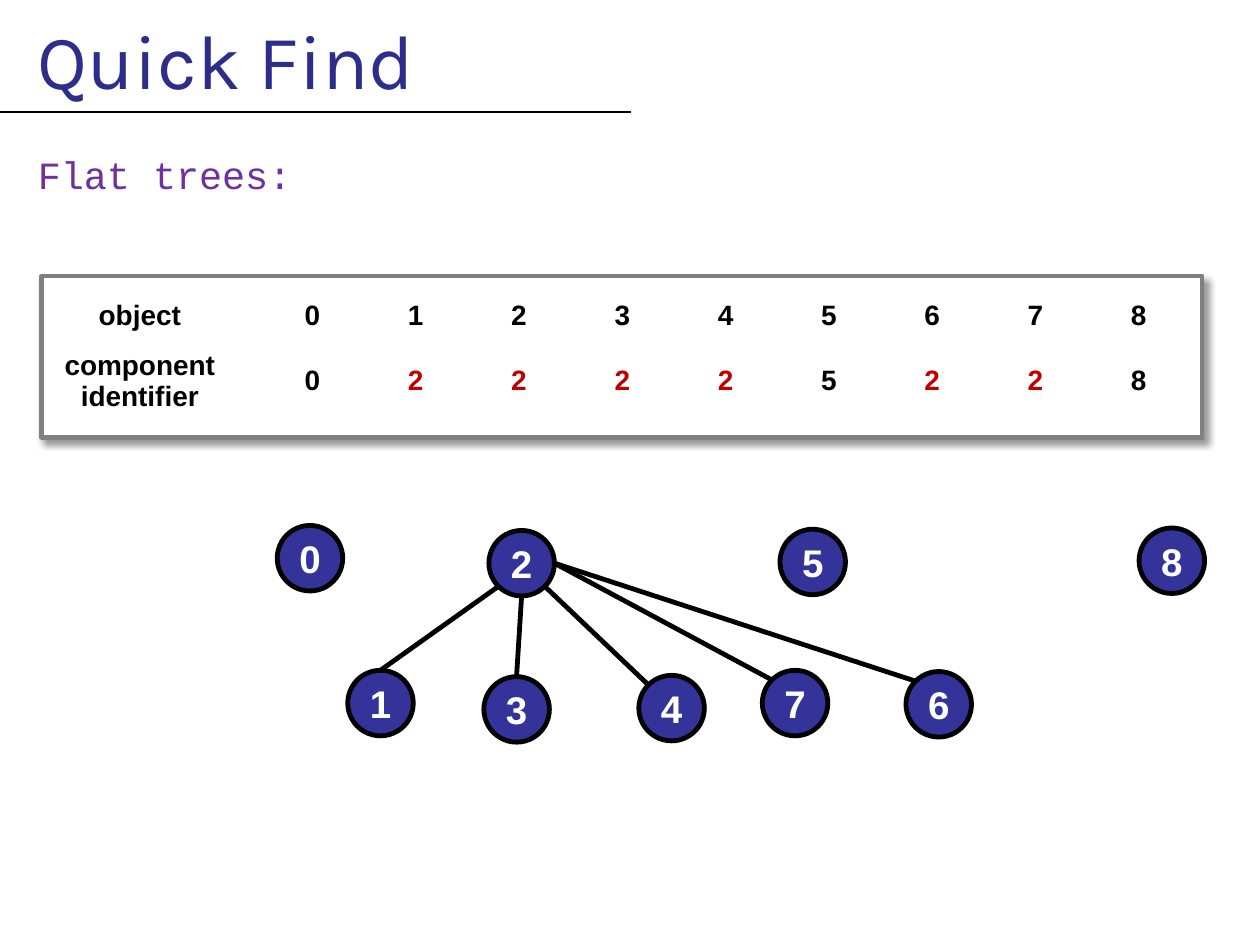
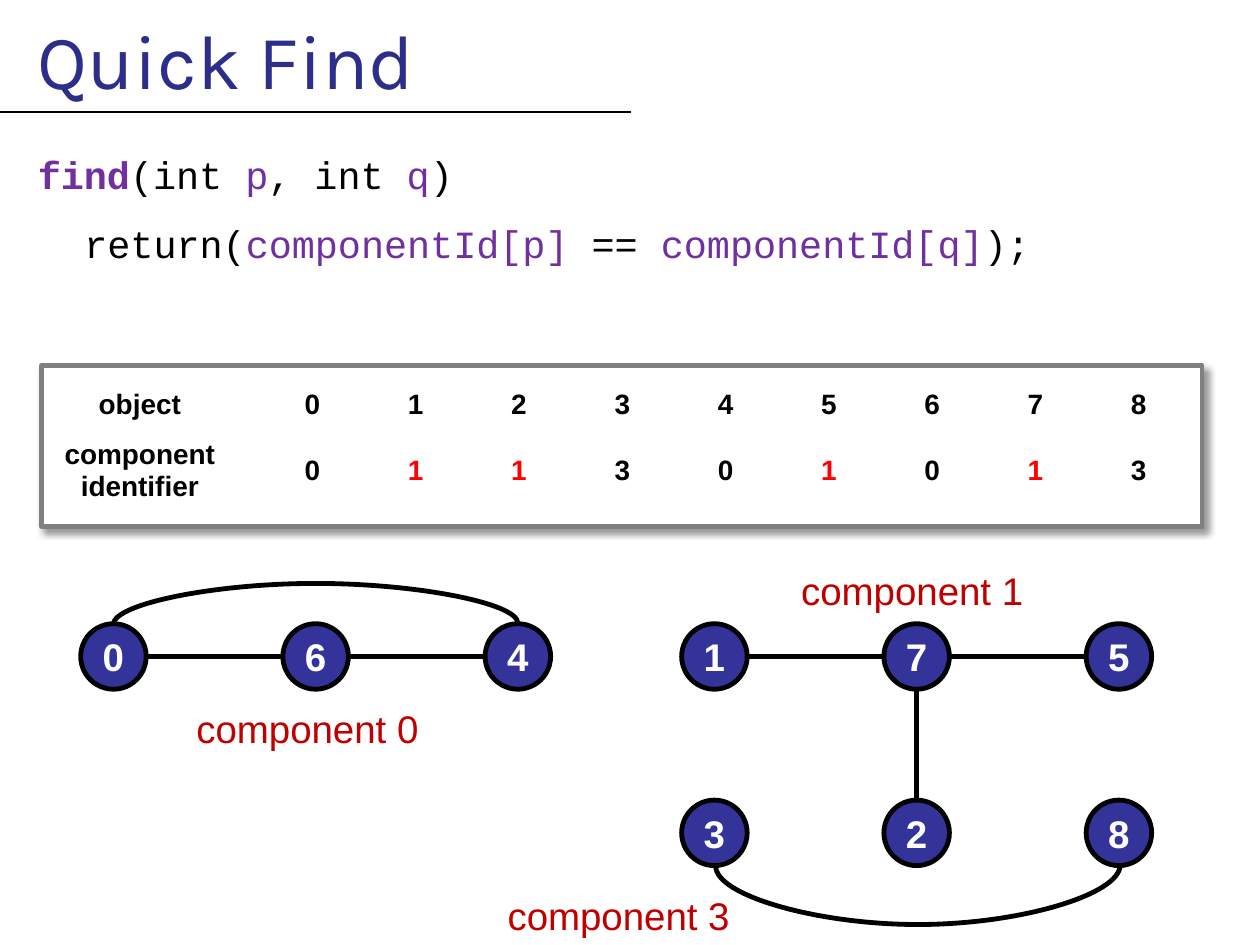
import lxml.etree
import pptx
import pptx.dml.color
import pptx.enum.shapes
import pptx.enum.text
import pptx.oxml.ns
import pptx.util

Inches = pptx.util.Inches
Pt = pptx.util.Pt
qn = pptx.oxml.ns.qn
Connector = pptx.enum.shapes.MSO_CONNECTOR
Preset = pptx.enum.shapes.MSO_SHAPE
Align = pptx.enum.text.PP_ALIGN
Anchor = pptx.enum.text.MSO_ANCHOR

BLACK, WHITE, GREY = "000000", "FFFFFF", "808080"
TITLE_BLUE, NODE_BLUE = "2D2D8A", "333399"
PURPLE, DARK_RED, BRIGHT_RED = "7030A0", "C00000", "FF0000"
SANS, MONO, TITLE_FONT = "Arial", "Courier New", "Karla"
STROKE = 2.75
NODE = 0.52
DIAGONAL = 0.5 ** 0.5
SITES = {
    "N": (0, -1), "S": (0, 1), "E": (1, 0), "W": (-1, 0),
    "NW": (-DIAGONAL, -DIAGONAL), "SW": (-DIAGONAL, DIAGONAL), "SE": (DIAGONAL, DIAGONAL),
}


def colour(hex_string):
    """Turn a hex string into an RGB colour."""
    return pptx.dml.color.RGBColor.from_string(hex_string)


def add_span(para, text, size, font, hex_string, bold=False):
    """Append one formatted run to a paragraph."""
    span = para.add_run()
    span.text = text
    span.font.size = Pt(size)
    span.font.name = font
    span.font.bold = bold
    span.font.color.rgb = colour(hex_string)


def set_margins(frame, left=0.0, top=0.0):
    """Set the left and top insets of a text frame and clear the others."""
    frame.margin_left, frame.margin_top = Inches(left), Inches(top)
    frame.margin_right = frame.margin_bottom = 0


def paint(shape, fill, line):
    """Give a shape a solid fill and outline without the default shadow."""
    shape.shadow.inherit = False
    shape.fill.solid()
    shape.fill.fore_color.rgb = colour(fill)
    shape.line.color.rgb = colour(line)
    shape.line.width = Pt(STROKE)


def add_line(page, start, end, kind=Connector.STRAIGHT, width=STROKE):
    """Draw a black connector between two points given in inches."""
    line = page.shapes.add_connector(kind, *map(Inches, start + end))
    line.line.color.rgb = colour(BLACK)
    line.line.width = Pt(width)
    lxml.etree.SubElement(line._element.spPr, qn("a:effectLst"))
    return line


def add_arc(page, left, right, y, bulge):
    """Draw a curved connector that bows down, or up if bulge is negative."""
    middle, half, thin = (left + right) / 2, (right - left) / 2, 0.01
    arc = add_line(page, (middle - thin / 2, y - half), (middle + thin / 2, y + half), Connector.CURVE)
    properties = arc._element.spPr
    properties.find(qn("a:xfrm")).set("rot", str((90 if bulge > 0 else 270) * 60000))
    guide = lxml.etree.SubElement(properties.find(qn("a:prstGeom")).find(qn("a:avLst")), qn("a:gd"))
    guide.set("name", "adj1")
    guide.set("fmla", f"val {round(abs(bulge) / thin * 100000)}")


def add_page(deck):
    """Add a page with the shared title and the rule below it."""
    page = deck.slides.add_slide(deck.slide_layouts[5])
    title = page.shapes.title
    title.left = title.top = 0
    title.width, title.height = Inches(10), Inches(1)
    frame = title.text_frame
    set_margins(frame, 0.3, 0.1)
    frame.vertical_anchor = Anchor.TOP
    para = frame.paragraphs[0]
    para.alignment = Align.LEFT
    add_span(para, "Quick Find", 44, TITLE_FONT, TITLE_BLUE)
    add_line(page, (0, 0.89), (5.01, 0.89), width=1.5)
    return page


def add_code(page, lines):
    """Write monospaced lines, each an indent in inches and a list of spans."""
    box = page.shapes.add_textbox(0, Inches(1.15), Inches(10), Inches(1.2))
    frame = box.text_frame
    frame.word_wrap = True
    set_margins(frame, 0.3, 0.05)
    for index, (indent, spans) in enumerate(lines):
        para = frame.add_paragraph() if index else frame.paragraphs[0]
        if index:
            para.space_before = Pt(13)
        para._p.get_or_add_pPr().set("marL", str(Inches(indent)))
        for text, hex_string, bold in spans:
            add_span(para, text, 22, MONO, hex_string, bold)


def add_shadow(shape):
    """Give a shape a soft shadow to the lower right."""
    effects = shape._element.spPr.find(qn("a:effectLst"))
    shadow = lxml.etree.SubElement(effects, qn("a:outerShdw"))
    for name, value in (("blurRad", Pt(4)), ("dist", Pt(3)), ("dir", 45 * 60000)):
        shadow.set(name, str(value))
    shade = lxml.etree.SubElement(shadow, qn("a:srgbClr"), val=BLACK)
    lxml.etree.SubElement(shade, qn("a:alpha"), val="40000")


def fill_cell(cell, text, hex_string):
    """Write centred bold text into a clear table cell."""
    cell.fill.background()
    cell.vertical_anchor = Anchor.MIDDLE
    cell.margin_left = cell.margin_right = Inches(0.05)
    for index, line in enumerate(text.splitlines()):
        para = cell.text_frame.paragraphs[0] if index == 0 else cell.text_frame.add_paragraph()
        para.alignment = Align.CENTER
        add_span(para, line, 16, SANS, hex_string, True)


def add_component_table(page, top, identifiers, marked, mark_colour):
    """Draw the framed table of objects and their component identifiers."""
    left = 0.33
    panel = page.shapes.add_shape(
        Preset.RECTANGLE, Inches(left), Inches(top), Inches(9.21), Inches(1.28))
    paint(panel, WHITE, GREY)
    add_shadow(panel)
    rows = [["object", "", *map(str, range(len(identifiers)))],
            ["component\nidentifier", "", *identifiers]]
    widths = [1.46, 0.23] + [0.82] * len(identifiers)
    heights = [0.41, 0.61]
    table = page.shapes.add_table(
        len(rows), len(widths), Inches(left + 0.05), Inches(top + 0.11),
        Inches(sum(widths)), Inches(sum(heights))).table
    table.first_row = table.horz_banding = False
    for column, width in zip(table.columns, widths):
        column.width = Inches(width)
    for row, height, texts in zip(table.rows, heights, rows):
        row.height = Inches(height)
        for cell, text in zip(row.cells, texts):
            is_marked = texts is rows[1] and text == marked
            fill_cell(cell, text, mark_colour if is_marked else BLACK)


def add_graph(page, nodes, edges):
    """Draw numbered nodes and the edges between their named sites."""
    for name, (left, top) in nodes.items():
        circle = page.shapes.add_shape(
            Preset.OVAL, Inches(left), Inches(top), Inches(NODE), Inches(NODE))
        paint(circle, NODE_BLUE, BLACK)
        frame = circle.text_frame
        set_margins(frame)
        frame.word_wrap = False
        frame.vertical_anchor = Anchor.MIDDLE
        para = frame.paragraphs[0]
        para.alignment = Align.CENTER
        add_span(para, name, 22, SANS, WHITE, True)

    def site(name, side):
        """Find a point on the rim of a node."""
        return tuple(corner + NODE / 2 * (1 + step) for corner, step in zip(nodes[name], SITES[side]))

    for start, start_side, end, end_side in edges:
        add_line(page, site(start, start_side), site(end, end_side))


def add_label(page, left, top, text):
    """Write the name of a component."""
    box = page.shapes.add_textbox(Inches(left), Inches(top), Inches(1.99), Inches(0.47))
    box.text_frame.word_wrap = False
    add_span(box.text_frame.paragraphs[0], text, 22, SANS, DARK_RED)


def build_flat_trees(deck):
    """Build the page that shows components as flat trees."""
    page = add_page(deck)
    add_code(page, [(0, [("Flat trees:", PURPLE, False)])])
    add_component_table(page, 2.19, "022225228", "2", DARK_RED)
    nodes = {
        "0": (2.2, 4.17), "2": (3.88, 4.21), "5": (6.19, 4.2), "8": (9.04, 4.19),
        "1": (2.76, 5.32), "3": (3.84, 5.37), "4": (5.07, 5.36),
        "7": (6.05, 5.32), "6": (7.19, 5.33),
    }
    edges = [("2", "SW", "1", "N"), ("2", "S", "3", "N"), ("2", "SE", "4", "NW"),
             ("2", "E", "7", "NW"), ("2", "E", "6", "NW")]
    add_graph(page, nodes, edges)


def build_find(deck):
    """Build the page that shows the find function and three components."""
    page = add_page(deck)
    add_code(page, [
        (0, [("find", PURPLE, True), ("(int", BLACK, False), (" p", PURPLE, False),
             (", int", BLACK, False), (" q", PURPLE, False), (")", BLACK, False)]),
        (0.37, [("return(", BLACK, False), ("componentId[p] ", PURPLE, False),
                ("== ", BLACK, False), ("componentId[q]", PURPLE, False), (");", BLACK, False)]),
    ])
    add_component_table(page, 2.9, "011301013", "1", BRIGHT_RED)
    pitch = 1.605
    nodes = {
        name: (left + pitch * index, top)
        for left, top, names in ((0.64, 4.95, "064"), (5.41, 4.95, "175"), (5.41, 6.35, "328"))
        for index, name in enumerate(names)
    }
    edges = [(start, "E", end, "W") for start, end in ("06", "64", "17", "75")]
    add_graph(page, nodes, edges + [("7", "S", "2", "N")])
    add_arc(page, 0.9, 4.11, 4.95, -0.33)
    add_arc(page, 5.68, 8.89, 6.87, 0.48)
    for left, top, text in ((1.46, 5.55, "component 0"), (6.26, 4.45, "component 1"),
                            (3.93, 7.03, "component 3")):
        add_label(page, left, top, text)


def main():
    """Build and save the deck."""
    deck = pptx.Presentation()
    deck.slide_width, deck.slide_height = Inches(10), Inches(7.5)
    build_flat_trees(deck)
    build_find(deck)
    deck.save("out.pptx")


if __name__ == "__main__":
    main()
